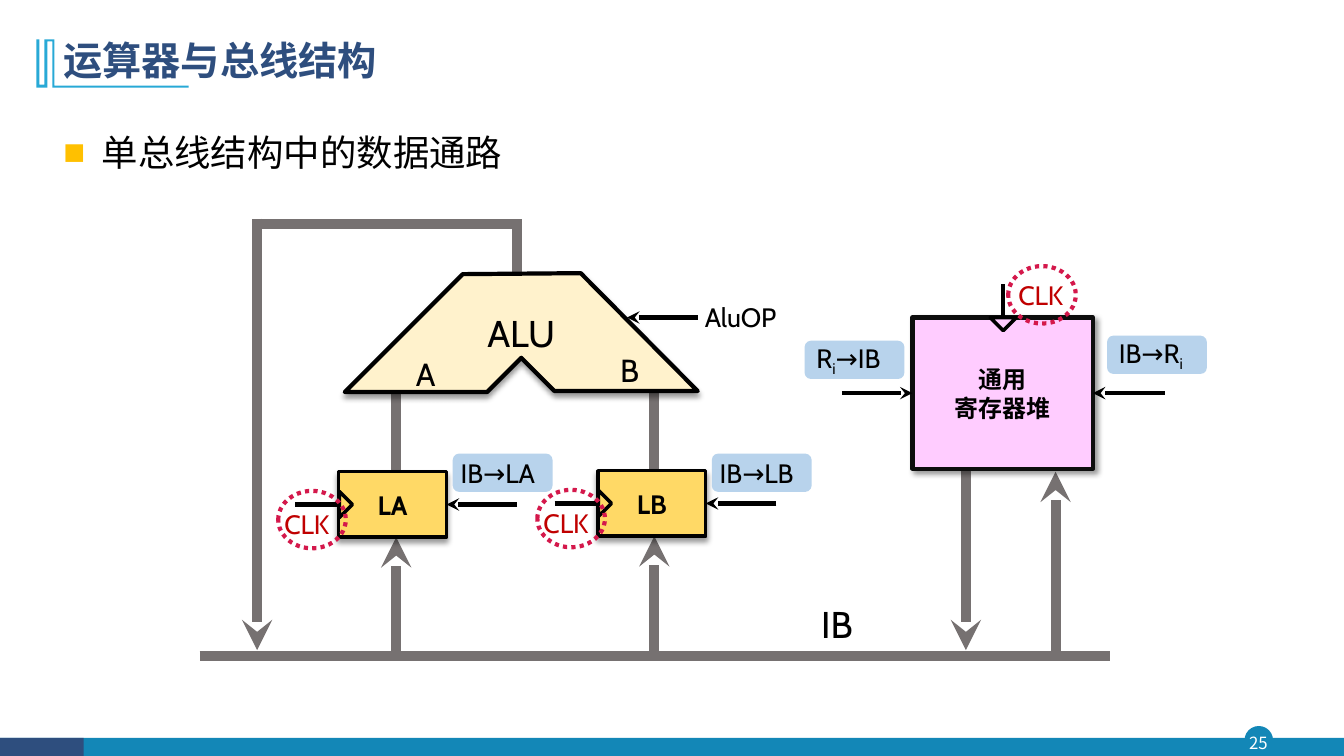
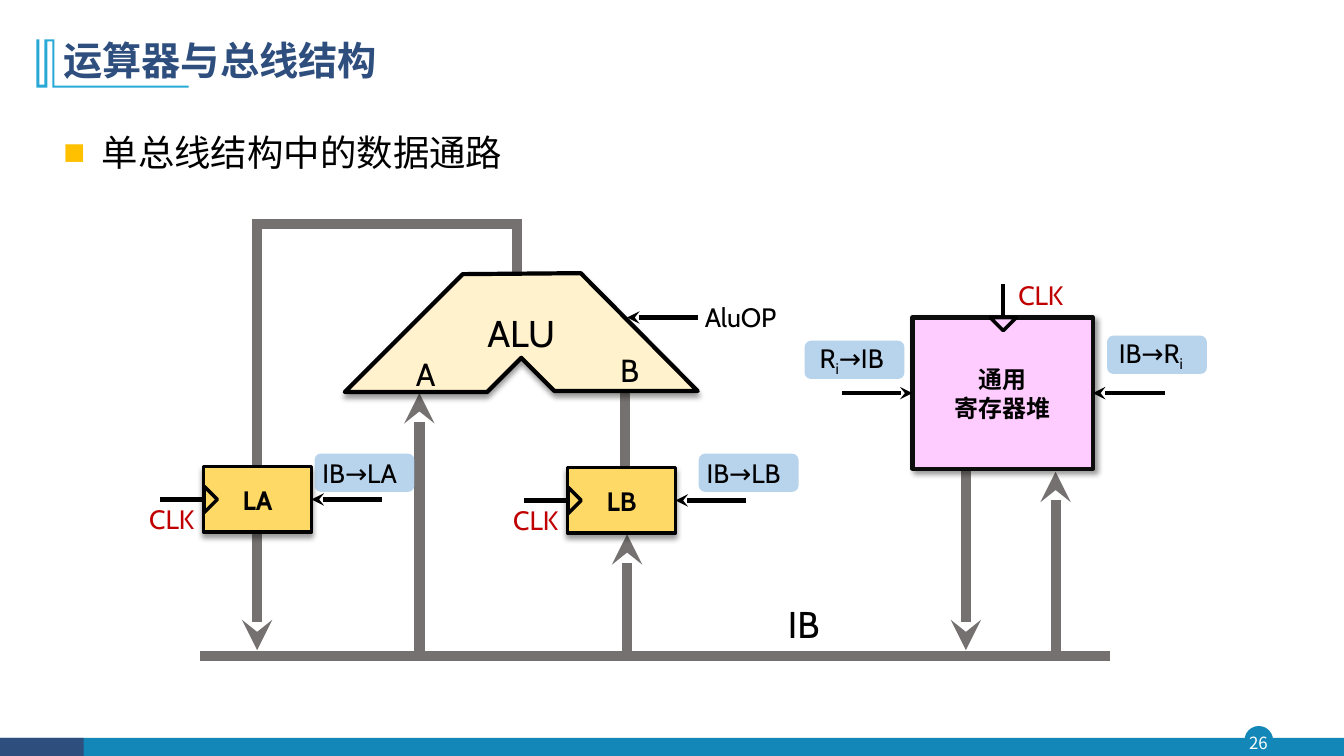
from lxml import etree
from pptx import Presentation
from pptx.dml.color import RGBColor
from pptx.enum.dml import MSO_LINE
from pptx.enum.shapes import MSO_CONNECTOR, MSO_SHAPE
from pptx.enum.text import MSO_ANCHOR, PP_ALIGN
from pptx.oxml.ns import qn
from pptx.util import Inches, Pt

RECT, ROUNDED = MSO_SHAPE.RECTANGLE, MSO_SHAPE.ROUNDED_RECTANGLE
OVAL, TRIANGLE = MSO_SHAPE.OVAL, MSO_SHAPE.ISOSCELES_TRIANGLE
STRAIGHT, DOTTED = MSO_CONNECTOR.STRAIGHT, MSO_LINE.ROUND_DOT
LEFT, CENTER, RIGHT = PP_ALIGN.LEFT, PP_ALIGN.CENTER, PP_ALIGN.RIGHT
TOP, MIDDLE = MSO_ANCHOR.TOP, MSO_ANCHOR.MIDDLE
LEFT_SIDE, RIGHT_SIDE = 1, 3

LATIN, CJK = "Cabin", "Noto Sans CJK SC"
BLACK, WHITE, NAVY, TEAL, CYAN = "000000", "FFFFFF", "2E4E7E", "1387B7", "28A9D6"
BUS_GRAY, CLOCK_RED, RING_RED = "767171", "C00000", "D4184B"
TAG_BLUE, REGISTER_GOLD, ALU_CREAM, POOL_PINK = "9DC3E6", "FFD966", "FFF2CC", "FFCCFF"
BULLET_GOLD = "FFC000"
BUS_WIDTH, SIGNAL_WIDTH = 7.25, 3
REGISTER_W, REGISTER_H = 1.07, 0.65
POOL_W, POOL_H = 1.79, 1.5
BUS_Y = 6.51


def rgb(value):
    return RGBColor.from_string(value)


def add_child(parent, tag, **attributes):
    child = etree.SubElement(parent, qn(tag))
    for key, value in attributes.items():
        child.set(key, str(value))
    return child


def put_text(frame, *paragraphs, size=19, color=BLACK, font=LATIN, bold=False,
             align=LEFT, anchor=TOP, margins=(0.09, 0.05, 0.09, 0.05), wrap=True):
    """Fill a text frame; the character after an underscore becomes a subscript."""
    frame.word_wrap = wrap
    frame.vertical_anchor = anchor
    (frame.margin_left, frame.margin_top,
     frame.margin_right, frame.margin_bottom) = map(Inches, margins)
    for index, text in enumerate(paragraphs):
        paragraph = frame.add_paragraph() if index else frame.paragraphs[0]
        paragraph.alignment = align
        start, *rest = text.split("_")
        pieces = [(start, False)]
        for part in rest:
            pieces += [(part[0], True), (part[1:], False)]
        for piece, subscript in pieces:
            if not piece:
                continue
            run = paragraph.add_run()
            run.text = piece
            run.font.size, run.font.bold, run.font.name = Pt(size), bold, font
            run.font.color.rgb = rgb(color)
            properties = run._r.get_or_add_rPr()
            add_child(properties, "a:ea", typeface=CJK)
            if subscript:
                properties.set("baseline", "-25000")


def add_label(slide, left, top, width, height, *paragraphs, **text_format):
    box = slide.shapes.add_textbox(*map(Inches, (left, top, width, height)))
    put_text(box.text_frame, *paragraphs, **text_format)
    return box


def paint(shape, fill=None, line=None, line_width=1, shadow_angle=None):
    shape.shadow.inherit = False
    if fill:
        shape.fill.solid()
        shape.fill.fore_color.rgb = rgb(fill)
    else:
        shape.fill.background()
    if line:
        shape.line.color.rgb = rgb(line)
        shape.line.width = Pt(line_width)
    else:
        shape.line.fill.background()
    if shadow_angle is not None:
        effects = shape._element.spPr.find(qn("a:effectLst"))
        shadow = add_child(effects, "a:outerShdw", blurRad=Pt(4), dist=Pt(3),
                           dir=shadow_angle * 60000, algn="ctr", rotWithShape=0)
        color = add_child(shadow, "a:srgbClr", val=BLACK)
        add_child(color, "a:alpha", val=40000)
    return shape


def add_box(slide, kind, left, top, width, height, **look):
    shape = slide.shapes.add_shape(kind, *map(Inches, (left, top, width, height)))
    return paint(shape, **look)


def add_outline(slide, points, **look):
    (x, y), *others = points
    builder = slide.shapes.build_freeform(Inches(x), Inches(y))
    builder.add_line_segments([(Inches(x), Inches(y)) for x, y in others])
    return paint(builder.convert_to_shape(), **look)


def add_wire(slide, x1, y1, x2, y2, color=BLACK, width=SIGNAL_WIDTH, arrow=False,
             into=None):
    """Draw a straight wire; into is the (shape, side) that its end is joined to."""
    wire = slide.shapes.add_connector(STRAIGHT, *map(Inches, (x1, y1, x2, y2)))
    wire.line.color.rgb = rgb(color)
    wire.line.width = Pt(width)
    if arrow:
        add_child(wire.line._get_or_add_ln(), "a:tailEnd", type="stealth")
    add_child(wire._element.spPr, "a:effectLst")
    if into:
        wire.end_connect(*into)


def add_bus(slide, x1, y1, x2, y2, arrow=False):
    add_wire(slide, x1, y1, x2, y2, color=BUS_GRAY, width=BUS_WIDTH, arrow=arrow)


def add_tag(slide, left, top, text, indent=0.06):
    """Name a control signal on a translucent blue plate."""
    plate = add_box(slide, ROUNDED, left, top, 0.99, 0.38, fill=TAG_BLUE)
    color = plate._element.spPr.find(qn("a:solidFill"))[0]
    add_child(color, "a:alpha", val=72000)
    put_text(plate.text_frame, text, anchor=MIDDLE, margins=(indent, 0, 0, 0))


def add_clock_label(slide, left, top, ringed, ring_shift=(0.03, -0.12)):
    add_label(slide, left, top, 0.83, 0.34, "CLK", color=CLOCK_RED)
    if ringed:
        dx, dy = ring_shift
        ring = add_box(slide, OVAL, left + dx, top + dy, 0.67, 0.57,
                       line=RING_RED, line_width=3)
        ring.line.dash_style = DOTTED


def add_clock_notch(slide, center_x, center_y, rotation, fill):
    notch = add_box(slide, TRIANGLE, center_x - 0.13, center_y - 0.065, 0.26, 0.13,
                    fill=fill, line=BLACK, line_width=2.5)
    notch.rotation = rotation


def add_register(slide, left, top, name, tag_left, ringed):
    right, mid_y = left + REGISTER_W, top + REGISTER_H / 2
    body = add_box(slide, RECT, left, top, REGISTER_W, REGISTER_H, fill=REGISTER_GOLD,
                   line=BLACK, line_width=2.5, shadow_angle=90)
    put_text(body.text_frame, name, bold=True, align=CENTER, anchor=MIDDLE)
    add_clock_notch(slide, left + 0.07, mid_y, 90, REGISTER_GOLD)
    add_wire(slide, left - 0.43, mid_y, left, mid_y, into=(body, LEFT_SIDE))
    add_wire(slide, right + 0.7, mid_y, right, mid_y, arrow=True, into=(body, RIGHT_SIDE))
    add_tag(slide, tag_left, 4.5, f"IB→{name}")
    add_clock_label(slide, left - 0.63, top + 0.31, ringed)


def add_register_pool(slide, left, top, ringed, read_indent):
    right, mid_y, clock_x = left + POOL_W, top + POOL_H / 2, left + 0.9
    body = add_box(slide, RECT, left, top, POOL_W, POOL_H, fill=POOL_PINK,
                   line="0D0D0D", line_width=3, shadow_angle=45)
    put_text(body.text_frame, "通用", "寄存器堆", size=17.1, font=CJK, bold=True,
             align=CENTER, anchor=MIDDLE)
    add_clock_notch(slide, clock_x, top + 0.065, 180, POOL_PINK)
    add_wire(slide, clock_x, top - 0.33, clock_x, top)
    add_wire(slide, left - 0.7, mid_y, left, mid_y, arrow=True, into=(body, LEFT_SIDE))
    add_wire(slide, right + 0.71, mid_y, right, mid_y, arrow=True, into=(body, RIGHT_SIDE))
    add_tag(slide, left - 1.07, top + 0.23, "R_i→IB", indent=read_indent)
    add_tag(slide, right + 0.14, top + 0.18, "IB→R_i", indent=0.1)
    add_clock_label(slide, left + 0.96, top - 0.43, ringed, ring_shift=(-0.01, -0.08))


def add_alu(slide, left, top):
    corners = [(1.17, 0.01), (0, 1.18), (1.41, 1.18), (1.75, 0.84), (2.08, 1.17),
               (3.5, 1.17), (2.34, 0), (1.17, 0.01)]
    body = add_outline(slide, [(left + x, top + y) for x, y in corners],
                       fill=ALU_CREAM, line=BLACK, line_width=3, shadow_angle=90)
    put_text(body.text_frame, "ALU", size=26.6, align=CENTER, anchor=MIDDLE)
    for name, x, y in (("A", 0.56, 0.76), ("B", 2.58, 0.72)):
        add_label(slide, left + x, top + y, 0.43, 0.48, name, size=22.8,
                  align=RIGHT, wrap=False)
    add_wire(slide, left + 3.5, top + 0.44, left + 2.8, top + 0.44, arrow=True)
    add_label(slide, left + 3.48, top + 0.23, 1.31, 0.34, "AluOP")


def add_common_buses(slide):
    add_bus(slide, 2.55, 2.22, 5.13, 2.22)
    add_bus(slide, 5.13, 2.73, 5.13, 2.17)
    add_bus(slide, 2.55, 2.17, 2.55, 6.45, arrow=True)
    add_bus(slide, 9.58, 4.65, 9.58, 6.45, arrow=True)
    add_bus(slide, 10.47, BUS_Y, 10.47, 4.68, arrow=True)
    add_bus(slide, 1.98, BUS_Y, 11.01, BUS_Y)


def add_datapath(slide, feeds, registers, bus_label_left, ringed, read_indent):
    add_common_buses(slide)
    for feed in feeds:
        add_bus(slide, *feed)
    add_alu(slide, 3.42, 2.71)
    for register in registers:
        add_register(slide, *register, ringed)
    add_register_pool(slide, 9.05, 3.15, ringed, read_indent)
    add_label(slide, bus_label_left, 5.92, 0.59, 0.55, "IB", size=26.6,
              align=RIGHT, wrap=False)


def add_page_frame(slide, number):
    add_box(slide, OVAL, 12.35, 7.21, 0.27, 0.27, fill=TEAL, line=TEAL)
    add_box(slide, RECT, 0, 7.32, 13.33, 0.18, fill=TEAL)
    add_box(slide, RECT, 0, 7.32, 0.83, 0.18, fill=NAVY)
    add_label(slide, 12.32, 7.21, 0.32, 0.31, str(number), size=12, color=WHITE, font=CJK,
              align=CENTER, anchor=MIDDLE, margins=(0, 0, 0, 0))
    title_mark = [(0.54, 0.39), (0.54, 0.85), (1.87, 0.85), (1.87, 0.87), (0.52, 0.87),
                  (0.52, 0.41), (0.47, 0.41), (0.47, 0.87), (0.36, 0.87), (0.36, 0.39),
                  (0.39, 0.39), (0.39, 0.84), (0.44, 0.84), (0.44, 0.39), (0.54, 0.39)]
    add_outline(slide, title_mark, fill=CYAN)


def add_title(slide, text):
    title = slide.shapes.title
    title.left, title.top, title.width, title.height = map(Inches, (0.53, 0.28, 11.5, 0.68))
    put_text(title.text_frame, text, size=28, color=NAVY, font=CJK, bold=True,
             anchor=MIDDLE, margins=(0.1, 0.05, 0.1, 0.05))
    title.text_frame.paragraphs[0].line_spacing = 0.9


def add_bullet_heading(slide, text):
    box = add_label(slide, 0.53, 1.03, 11.5, 0.96, text, size=26, font=CJK,
                    anchor=MIDDLE, margins=(0.1, 0.05, 0.1, 0.05))
    properties = box.text_frame.paragraphs[0]._p.get_or_add_pPr()
    properties.set("marL", str(Inches(0.38)))
    properties.set("indent", str(-Inches(0.38)))
    add_child(add_child(properties, "a:buClr"), "a:srgbClr", val=BULLET_GOLD)
    add_child(properties, "a:buFont", typeface="Arial")
    add_child(properties, "a:buChar", char="■")


def add_datapath_slide(deck, number, **datapath):
    slide = deck.slides.add_slide(deck.slide_layouts[5])
    add_page_frame(slide, number)
    add_title(slide, "运算器与总线结构")
    add_bullet_heading(slide, "单总线结构中的数据通路")
    add_datapath(slide, **datapath)


def main():
    deck = Presentation()
    deck.slide_width, deck.slide_height = Inches(13.33), Inches(7.5)
    add_datapath_slide(
        deck, 25, ringed=True, read_indent=0.1, bus_label_left=7.96,
        feeds=[(3.93, 4.68, 3.93, 3.88), (6.49, 4.68, 6.49, 3.88),
               (3.93, BUS_Y, 3.93, 5.33, True), (6.49, BUS_Y, 6.49, 5.32, True)],
        registers=[(3.36, 4.68, "LA", 4.49), (5.93, 4.67, "LB", 7.06)])
    add_datapath_slide(
        deck, 26, ringed=False, read_indent=0.13, bus_label_left=7.63,
        feeds=[(4.16, BUS_Y, 4.16, 3.9, True), (6.2, 4.68, 6.2, 3.86),
               (6.22, BUS_Y, 6.22, 5.3, True)],
        registers=[(2.02, 4.63, "LA", 3.12), (5.63, 4.64, "LB", 6.93)])
    deck.save("out.pptx")


if __name__ == "__main__":
    main()
